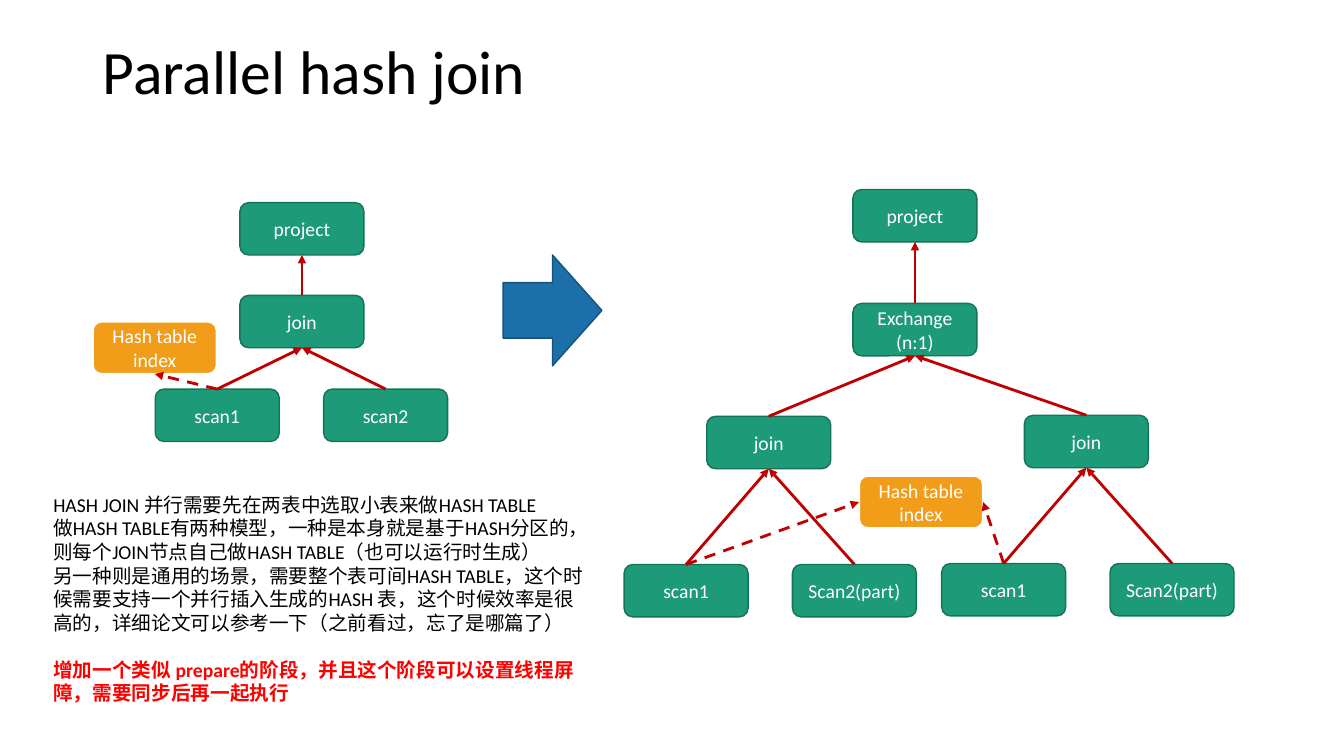
from dataclasses import dataclass

from lxml.etree import SubElement
from pptx import Presentation
from pptx.dml.color import RGBColor
from pptx.enum.dml import MSO_LINE_DASH_STYLE as Dash
from pptx.enum.shapes import MSO_CONNECTOR as Connector, MSO_SHAPE as Shape
from pptx.enum.text import MSO_ANCHOR as Anchor, PP_ALIGN as Align
from pptx.oxml.ns import qn
from pptx.util import Inches, Pt


@dataclass(frozen=True)
class Theme:
    font: str = "Calibri"
    title_size: int = 44
    body_size: int = 14
    black: str = "000000"
    white: str = "FFFFFF"
    operator: str = "1D9A78"
    operator_edge: str = "157259"
    index: str = "F19D19"
    step: str = "1D6FA9"
    step_edge: str = "15527D"
    flow: str = "C00000"
    highlight: str = "FF0000"


THEME = Theme()
NODE_WIDTH, NODE_HEIGHT = 1.23, 0.52
SCAN_PITCH = 1.67
TOP, LEFT, BOTTOM, RIGHT = range(4)  # connection sites of a node

NOTES = [
    "HASH JOIN 并行需要先在两表中选取小表来做HASH TABLE",
    "做HASH TABLE有两种模型，一种是本身就是基于HASH分区的，"
    "则每个JOIN节点自己做HASH TABLE（也可以运行时生成）",
    "另一种则是通用的场景，需要整个表可间HASH TABLE，"
    "这个时候需要支持一个并行插入生成的HASH 表，这个时候效率是很高的，"
    "详细论文可以参考一下（之前看过，忘了是哪篇了）",
]
CONCLUSION = "增加一个类似 prepare的阶段，并且这个阶段可以设置线程屏障，需要同步后再一起执行"


def rgb(value):
    return RGBColor.from_string(value)


def write(frame, lines, size, color, align=Align.LEFT):
    frame.word_wrap = True
    for number, line in enumerate(lines):
        paragraph = frame.paragraphs[0] if number == 0 else frame.add_paragraph()
        paragraph.text = line
        paragraph.alignment = align
        paragraph.font.name = THEME.font
        paragraph.font.size = Pt(size)
        paragraph.font.color.rgb = rgb(color)


def add_text(slide, left, top, width, height, lines, size):
    box = slide.shapes.add_textbox(
        Inches(left), Inches(top), Inches(width), Inches(height))
    write(box.text_frame, lines, size, THEME.black)
    return box.text_frame


def add_filled(slide, kind, left, top, width, height, fill, edge, edge_width):
    shape = slide.shapes.add_shape(
        kind, Inches(left), Inches(top), Inches(width), Inches(height))
    shape.shadow.inherit = False
    shape.fill.solid()
    shape.fill.fore_color.rgb = rgb(fill)
    shape.line.color.rgb = rgb(edge)
    shape.line.width = Pt(edge_width)
    return shape


def add_node(slide, left, top, *lines,
             fill=THEME.operator, edge=THEME.operator_edge, edge_width=1):
    node = add_filled(slide, Shape.ROUNDED_RECTANGLE, left, top,
                      NODE_WIDTH, NODE_HEIGHT, fill, edge, edge_width)
    node.text_frame.vertical_anchor = Anchor.MIDDLE
    write(node.text_frame, lines, THEME.body_size, THEME.white, Align.CENTER)
    return node


def add_index(slide, left, top):
    return add_node(slide, left, top, "Hash table index",
                    fill=THEME.index, edge=THEME.white, edge_width=1.5)


def add_flow(slide, source, target, site=BOTTOM, dashed=False):
    """Arrow from the top of source to a connection site of target."""
    flow = slide.shapes.add_connector(Connector.STRAIGHT, 0, 0, 0, 0)
    flow.begin_connect(source, TOP)
    flow.end_connect(target, site)
    flow.line.color.rgb = rgb(THEME.flow)
    flow.line.width = Pt(2)
    if dashed:
        flow.line.dash_style = Dash.DASH
    SubElement(flow.line._get_or_add_ln(), qn("a:tailEnd"), type="triangle")
    SubElement(flow._element.spPr, qn("a:effectLst"))


def add_join(slide, join_at, scans_at, second_scan):
    """Join fed by two scans; returns the join and its first scan."""
    join = add_node(slide, *join_at, "join")
    left, top = scans_at
    scans = [add_node(slide, left + number * SCAN_PITCH, top, label)
             for number, label in enumerate(("scan1", second_scan))]
    for scan in scans:
        add_flow(slide, scan, join)
    return join, scans[0]


def add_serial_plan(slide):
    project = add_node(slide, 2.38, 2.01, "project")
    join, scan = add_join(slide, (2.38, 2.93), (1.54, 3.86), "scan2")
    add_flow(slide, join, project)
    index = add_index(slide, 0.92, 3.19)
    add_flow(slide, scan, index, dashed=True)


def add_parallel_plan(slide):
    project = add_node(slide, 8.46, 1.88, "project")
    exchange = add_node(slide, 8.46, 3.01, "Exchange", "(n:1)")
    add_flow(slide, exchange, project)
    index = add_index(slide, 8.52, 4.72)
    for left, top, side in ((7.01, 4.13, LEFT), (10.16, 4.12, RIGHT)):
        join, scan = add_join(
            slide, (left, top), (left - 0.82, top + 1.47), "Scan2(part)")
        add_flow(slide, join, exchange)
        add_flow(slide, scan, index, side, dashed=True)


def add_notes_text(slide):
    notes = add_text(slide, 0.43, 4.84, 5.52, 2.22,
                     NOTES + [CONCLUSION], THEME.body_size)
    conclusion = notes.paragraphs[-1]
    conclusion.space_before = Pt(17)
    conclusion.font.bold = True
    conclusion.font.color.rgb = rgb(THEME.highlight)


def main():
    deck = Presentation()
    deck.slide_width, deck.slide_height = Inches(13.33), Inches(7.5)
    slide = deck.slides.add_slide(deck.slide_layouts[6])
    title = add_text(slide, 0.92, 0.29, 11.5, 0.9,
                     ["Parallel hash join"], THEME.title_size)
    title.vertical_anchor = Anchor.MIDDLE
    title.paragraphs[0].line_spacing = 0.9
    add_serial_plan(slide)
    add_filled(slide, Shape.RIGHT_ARROW, 4.99, 2.53, 0.98, 1.1,
               THEME.step, THEME.step_edge, 1)
    add_parallel_plan(slide)
    add_notes_text(slide)
    deck.save("out.pptx")


if __name__ == "__main__":
    main()
